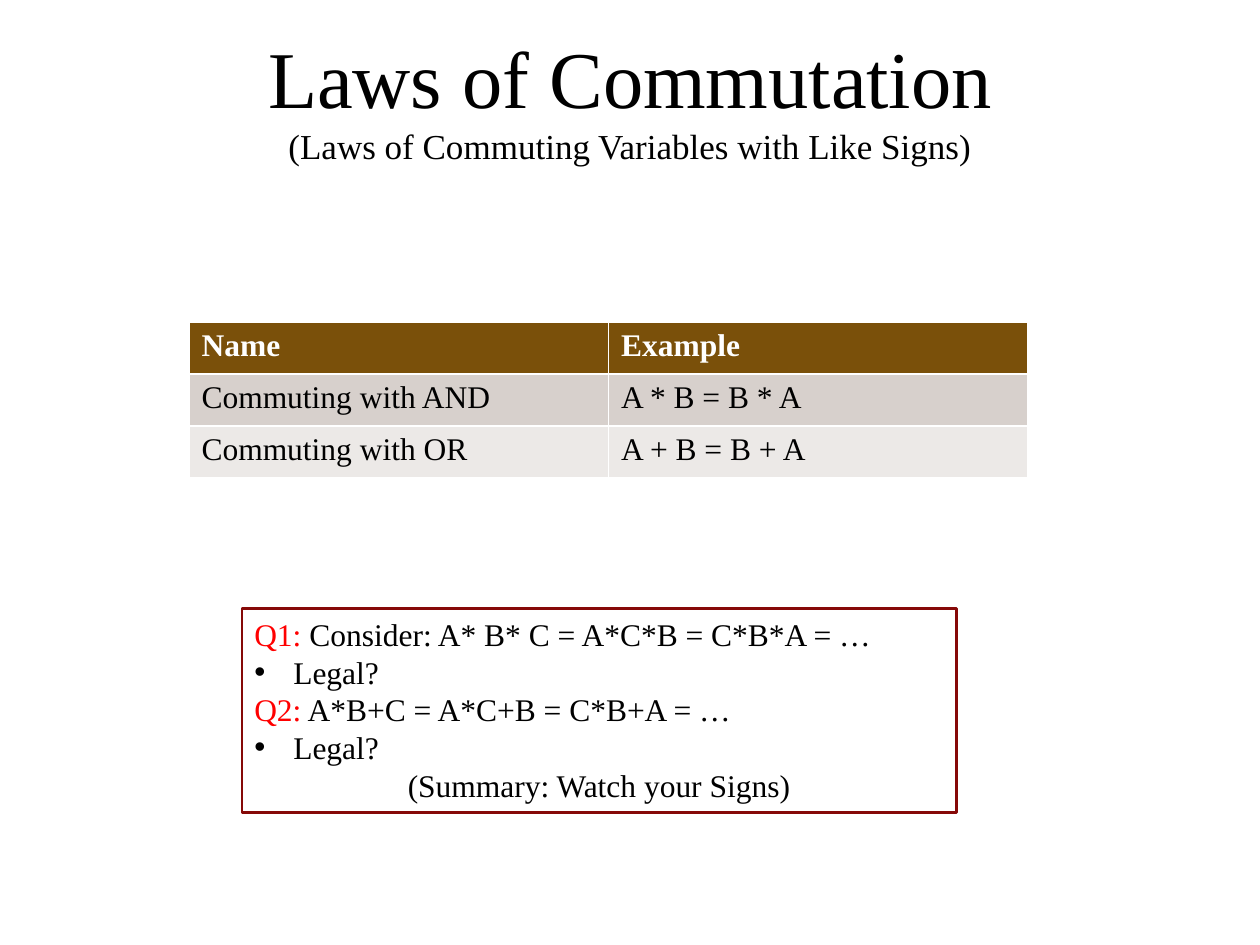
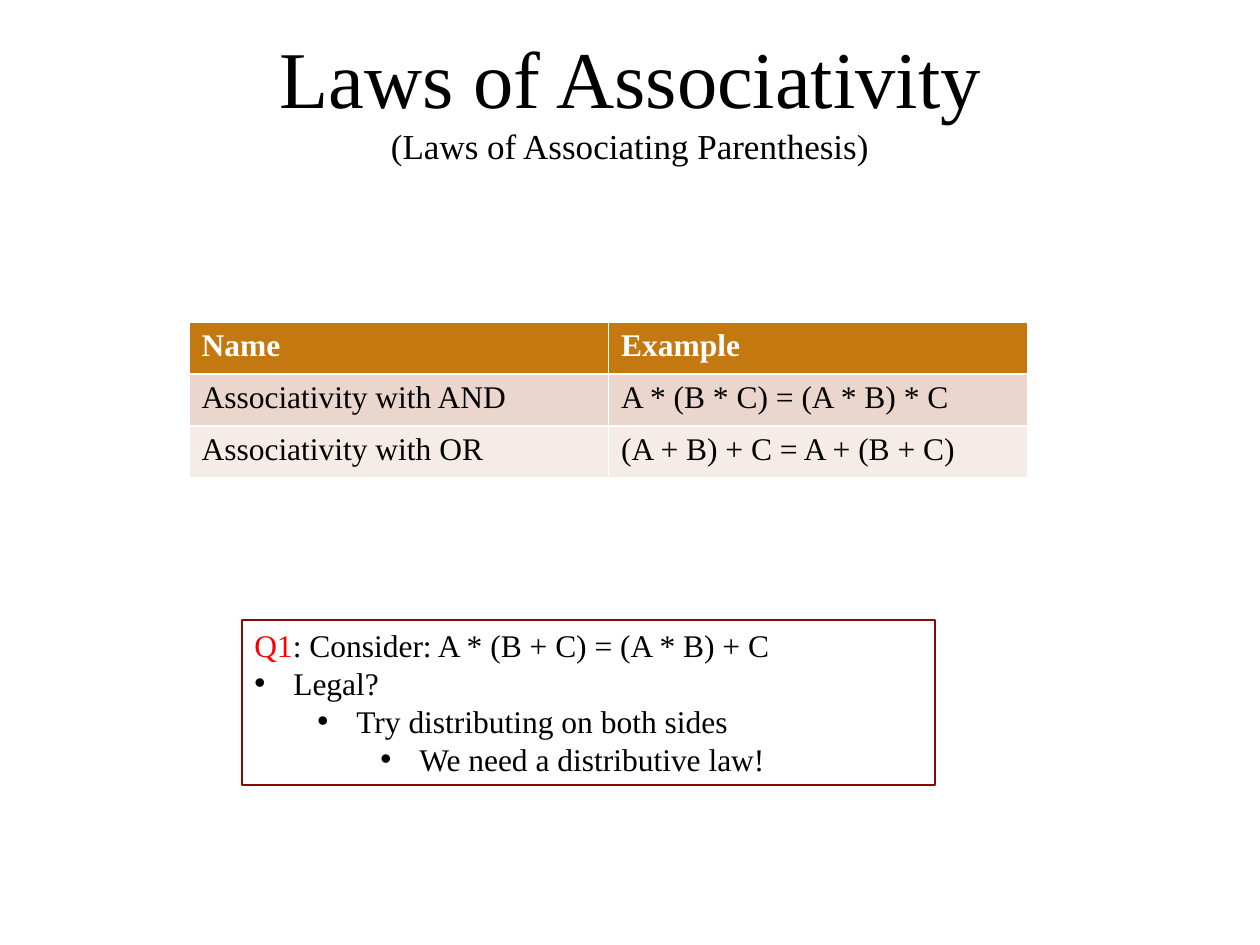
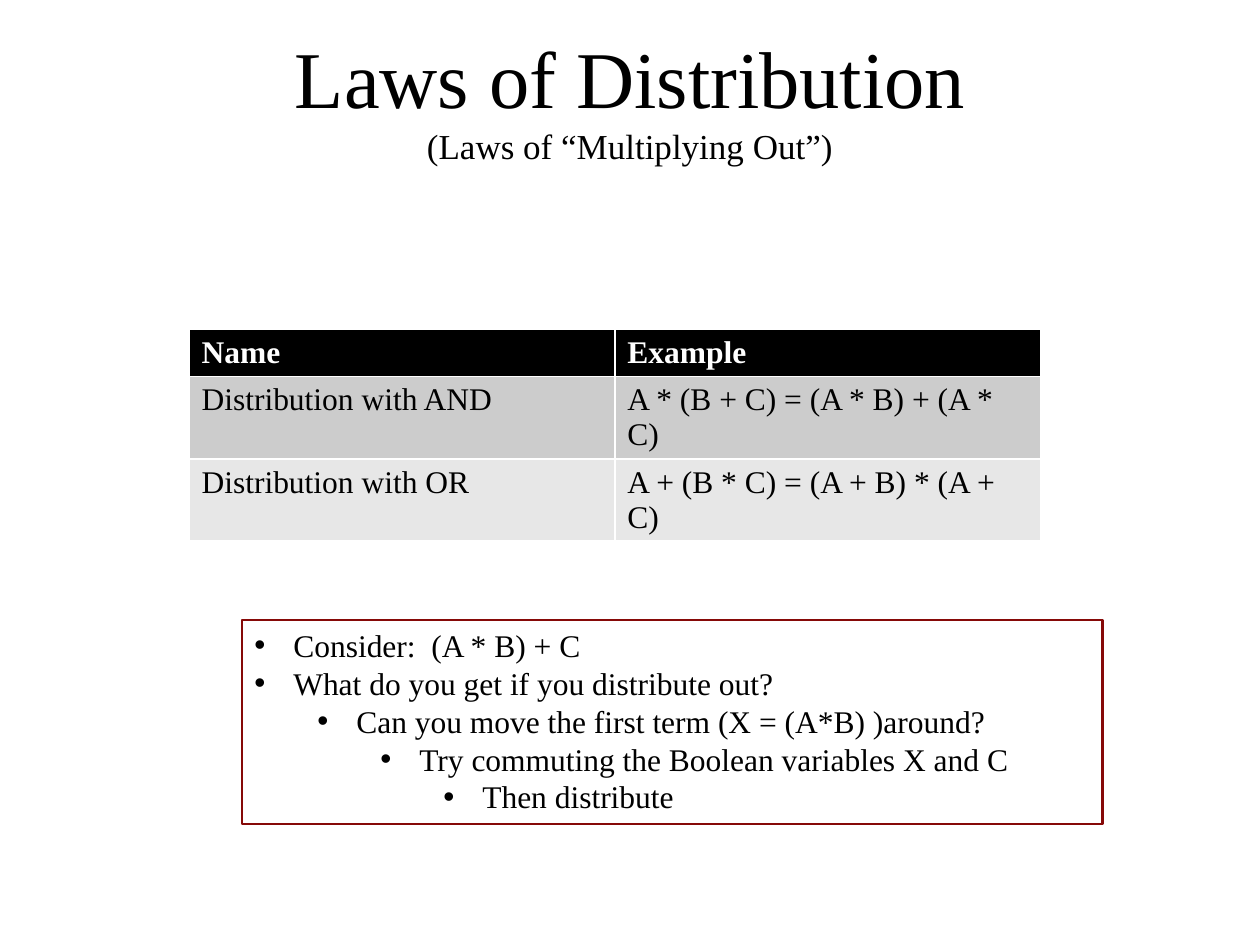
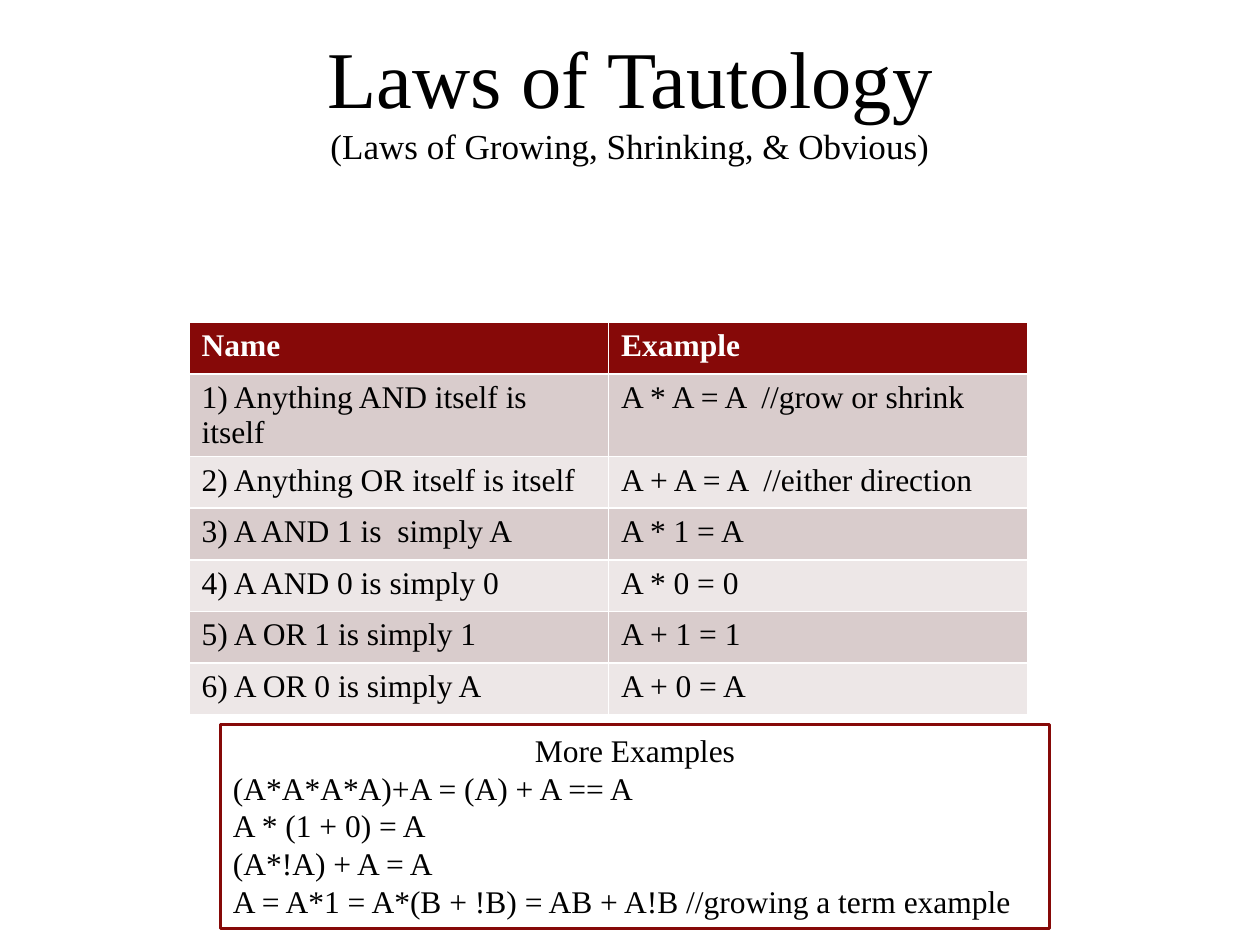
from pptx import Presentation
from pptx.dml.color import RGBColor
from pptx.enum.shapes import MSO_SHAPE
from pptx.enum.text import MSO_ANCHOR, MSO_AUTO_SIZE, PP_ALIGN
from pptx.oxml.ns import qn
from pptx.util import Inches, Pt
from lxml import etree

RECTANGLE = MSO_SHAPE.RECTANGLE
TOP, MIDDLE = MSO_ANCHOR.TOP, MSO_ANCHOR.MIDDLE
LEFT, CENTER = PP_ALIGN.LEFT, PP_ALIGN.CENTER
NO_FIT, GROW = MSO_AUTO_SIZE.NONE, MSO_AUTO_SIZE.SHAPE_TO_FIT_TEXT

# Shared style
FONT = "Times New Roman"
BLACK, WHITE, RED, DARK_RED = "000000", "FFFFFF", "FF0000", "860908"
TITLE_SIZE, SUBTITLE_SIZE, BODY_SIZE = 46, 20, 18
LINE_PITCH = Pt(21.6)
BULLET_INDENT, LEVEL_STEP = 0.31, 0.5


def color(hex_string):
    return RGBColor.from_string(hex_string)


def style(run, size, hex_string, bold=False):
    run.font.name = FONT
    run.font.size = Pt(size)
    run.font.bold = bold
    run.font.color.rgb = color(hex_string)


# Content: table colours are header, odd rows, even rows;
# question lines are (kind, highlighted lead, text), where the kind is
# "plain", "center" or the level of a bullet
laws = [
    {
        "title": "Laws of Commutation",
        "subtitle": "(Laws of Commuting Variables with Like Signs)",
        "table_top": 2.56, "column_width": 3.33, "row_heights": [0.41] * 3,
        "fills": ("7A500A", "D7D0CC", "ECE9E7"),
        "rows": [("Commuting with AND", "A * B = B * A"),
                 ("Commuting with OR", "A + B = B + A")],
        "box": (1.92, 4.83, 5.67, 1.62),
        "lines": [("plain", "Q1:", " Consider: A* B* C = A*C*B = C*B*A = …"),
                  (0, "", "Legal?"),
                  ("plain", "Q2:", " A*B+C = A*C+B = C*B+A = …"),
                  (0, "", "Legal?"),
                  ("center", "", "(Summary: Watch your Signs)")],
    },
    {
        "title": "Laws of Associativity",
        "subtitle": "(Laws of Associating Parenthesis)",
        "table_top": 2.56, "column_width": 3.33, "row_heights": [0.41] * 3,
        "fills": ("C47810", "EAD6CC", "F5ECE7"),
        "rows": [("Associativity with AND", "A * (B * C) = (A * B) * C"),
                 ("Associativity with OR", "(A + B) + C = A + (B + C)")],
        "box": (1.92, 4.92, 5.5, 1.31),
        "lines": [("plain", "Q1", ": Consider: A * (B + C) = (A * B) + C"),
                  (0, "", "Legal?"),
                  (1, "", "Try distributing on both sides"),
                  (2, "", "We need a distributive law!")],
    },
    {
        "title": "Laws of Distribution",
        "subtitle": "(Laws of “Multiplying Out”)",
        "table_top": 2.61, "column_width": 3.38, "row_heights": [0.36, 0.36, 0.56],
        "fills": (BLACK, "CCCCCC", "E7E7E7"),
        "rows": [("Distribution with AND", "A * (B + C) = (A * B) + (A * C)"),
                 ("Distribution with OR", "A + (B * C) = (A + B) * (A + C)")],
        "box": (1.92, 4.92, 6.83, 1.62),
        "lines": [(0, "", "Consider:  (A * B) + C"),
                  (0, "", "What do you get if you distribute out?"),
                  (1, "", "Can you move the first term (X = (A*B) )around?"),
                  (2, "", "Try commuting the Boolean variables X and C"),
                  (3, "", "Then distribute")],
    },
    {
        "title": "Laws of Tautology",
        "subtitle": "(Laws of Growing, Shrinking, & Obvious)",
        "table_top": 2.56, "column_width": 3.33, "row_heights": [0.41] * 7,
        "fills": (DARK_RED, "D9CCCC", "EDE7E7"),
        "rows": [("1) Anything AND itself is itself", "A * A = A  //grow or shrink"),
                 ("2) Anything OR itself is itself", "A + A = A  //either direction"),
                 ("3) A AND 1 is  simply A", "A * 1 = A"),
                 ("4) A AND 0 is simply 0", "A * 0 = 0"),
                 ("5) A OR 1 is simply 1", "A + 1 = 1"),
                 ("6) A OR 0 is simply A", "A + 0 = A")],
        "box": (1.75, 5.75, 6.58, 1.62),
        "lines": [("center", "", "More Examples"),
                  ("plain", "", "(A*A*A*A)+A = (A) + A == A"),
                  ("plain", "", "A * (1 + 0) = A"),
                  ("plain", "", "(A*!A) + A = A"),
                  ("plain", "", "A = A*1 = A*(B + !B) = AB + A!B //growing a term example")],
    },
]

prs = Presentation()
prs.slide_width, prs.slide_height = Inches(10), Inches(7.5)
title_only = prs.slide_layouts[5]

for law in laws:
    slide = prs.slides.add_slide(title_only)

    # Title with its subtitle on a second line
    title = slide.shapes.title
    title.left, title.top = Inches(1), Inches(0.3)
    title.width, title.height = Inches(8), Inches(0.95)
    title.text_frame.text = law["title"] + "\v" + law["subtitle"]
    title.text_frame.auto_size = NO_FIT
    title.text_frame.vertical_anchor = MIDDLE
    heading = title.text_frame.paragraphs[0]
    heading.alignment = CENTER
    for run, size in zip(heading.runs, (TITLE_SIZE, SUBTITLE_SIZE)):
        style(run, size, BLACK)

    # Table of laws; the table style draws the white rules
    rows = [("Name", "Example")] + law["rows"]
    header_fill, odd_fill, even_fill = law["fills"]
    table = slide.shapes.add_table(
        len(rows), 2, Inches(1.5), Inches(law["table_top"]),
        Inches(2 * law["column_width"]), Inches(sum(law["row_heights"]))).table
    for column in table.columns:
        column.width = Inches(law["column_width"])
    for r, (texts, height) in enumerate(zip(rows, law["row_heights"])):
        table.rows[r].height = Inches(height)
        is_header = r == 0
        row_fill = header_fill if is_header else odd_fill if r % 2 else even_fill
        for cell, text in zip(table.rows[r].cells, texts):
            cell.text_frame.text = text
            cell.fill.solid()
            cell.fill.fore_color.rgb = color(row_fill)
            style(cell.text_frame.paragraphs[0].runs[0], BODY_SIZE,
                  WHITE if is_header else BLACK, is_header)

    # Framed questions or examples
    questions = slide.shapes.add_shape(RECTANGLE, *[Inches(v) for v in law["box"]])
    questions.shadow.inherit = False
    questions.fill.solid()
    questions.fill.fore_color.rgb = color(WHITE)
    questions.line.color.rgb = color(DARK_RED)
    questions.line.width = Pt(1.5)
    frame = questions.text_frame
    frame.word_wrap = True
    frame.auto_size = GROW
    frame.vertical_anchor = TOP
    for i, (kind, lead, text) in enumerate(law["lines"]):
        paragraph = frame.paragraphs[0] if i == 0 else frame.add_paragraph()
        paragraph.alignment = CENTER if kind == "center" else LEFT
        paragraph.line_spacing = LINE_PITCH
        if lead:
            lead_run = paragraph.add_run()
            lead_run.text = lead
            style(lead_run, BODY_SIZE, RED)
        text_run = paragraph.add_run()
        text_run.text = text
        style(text_run, BODY_SIZE, BLACK)
        if kind not in ("plain", "center"):
            paragraph.level = kind
            properties = paragraph._p.get_or_add_pPr()
            properties.set("marL", str(Inches(BULLET_INDENT + LEVEL_STEP * kind)))
            properties.set("indent", str(-Inches(BULLET_INDENT)))
            etree.SubElement(properties, qn("a:buFont"), typeface="Arial")
            etree.SubElement(properties, qn("a:buChar"), char="•")

prs.save("out.pptx")
